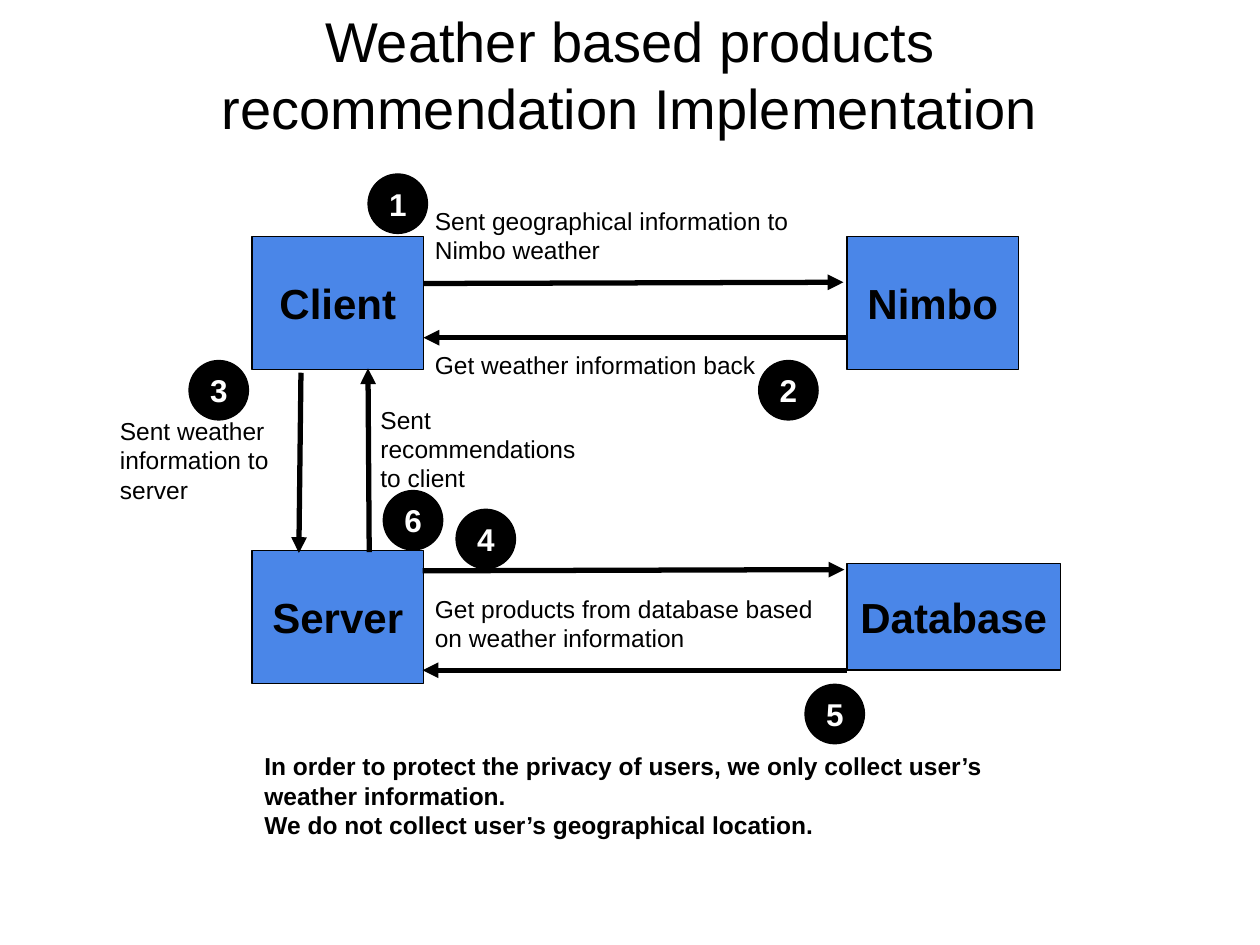
"""Builds a slide on how weather based product recommendations are implemented."""
from lxml import etree
from pptx import Presentation
from pptx.dml.color import RGBColor
from pptx.enum.shapes import MSO_CONNECTOR, MSO_SHAPE
from pptx.enum.text import MSO_ANCHOR, MSO_AUTO_SIZE, PP_ALIGN
from pptx.oxml.ns import qn
from pptx.util import Pt

RECTANGLE, OVAL = MSO_SHAPE.RECTANGLE, MSO_SHAPE.OVAL
STRAIGHT = MSO_CONNECTOR.STRAIGHT
TOP, MIDDLE = MSO_ANCHOR.TOP, MSO_ANCHOR.MIDDLE
LEFT, CENTER = PP_ALIGN.LEFT, PP_ALIGN.CENTER
NO_AUTOFIT = MSO_AUTO_SIZE.NONE
COLORS = {"ink": "000000", "box": "4A86E8", "number": "FFFFFF"}

deck = Presentation()
deck.slide_width, deck.slide_height = Pt(720), Pt(540)
page = deck.slides.add_slide(deck.slide_layouts[5])


def write(shape, text, size, bold=False, color="ink", align=LEFT, anchor=TOP, inset=7.2):
    frame = shape.text_frame
    frame.text = text
    frame.word_wrap = True
    frame.auto_size = NO_AUTOFIT
    frame.vertical_anchor = anchor
    frame.margin_left = frame.margin_right = Pt(7.2)
    frame.margin_top = frame.margin_bottom = Pt(inset)
    for para in frame.paragraphs:
        para.alignment = align
        for span in para.runs:
            span.font.name = "Arial"
            span.font.size = Pt(size)
            span.font.bold = bold
            span.font.color.rgb = RGBColor.from_string(COLORS[color])


def add_labelled_shape(kind, left, top, width, height, fill, text, size, color):
    shape = page.shapes.add_shape(kind, Pt(left), Pt(top), Pt(width), Pt(height))
    shape.shadow.inherit = False
    shape.fill.solid()
    shape.fill.fore_color.rgb = RGBColor.from_string(COLORS[fill])
    shape.line.color.rgb = RGBColor.from_string(COLORS["ink"])
    shape.line.width = Pt(0.75)
    write(shape, text, size, True, color, CENTER, MIDDLE)


title = page.shapes.title
title.left, title.top, title.width, title.height = Pt(108), Pt(0), Pt(504), Pt(97.2)
write(title, "Weather based products recommendation Implementation", 32, align=CENTER, inset=3.6)

systems = [
    ("Client", 144, 135.2, 98, 76),
    ("Nimbo", 484, 135.2, 98, 76),
    ("Server", 144, 314.6, 98, 76),
    ("Database", 484, 322, 122, 61),
]
for name, left, top, width, height in systems:
    add_labelled_shape(RECTANGLE, left, top, width, height, "box", name, 24, "ink")

arrows = [
    (242, 162, 482, 161.3),
    (483.5, 193, 242, 193),
    (172, 213, 170.8, 316),
    (211, 315.5, 210.3, 210.5),
    (241.5, 326.2, 482.5, 325.5),
    (484, 383, 241.5, 383),
]
for start_x, start_y, end_x, end_y in arrows:
    arrow = page.shapes.add_connector(STRAIGHT, Pt(start_x), Pt(start_y), Pt(end_x), Pt(end_y))
    arrow.line.color.rgb = RGBColor.from_string(COLORS["ink"])
    arrow.line.width = Pt(3)
    etree.SubElement(arrow.line._get_or_add_ln(), qn("a:tailEnd"), type="triangle")
    etree.SubElement(arrow._element.spPr, qn("a:effectLst"))

captions = [
    ("Sent geographical information to Nimbo weather", 241.4, 110.4, 243, False),
    ("Get weather information back", 241.4, 193, 243, False),
    ("Sent weather information to server", 61.4, 230.4, 109.4, False),
    ("Get products from database based on weather information", 241.4, 332, 243, False),
    ("Sent recommendations to client", 210.3, 224, 134, False),
    ("In order to protect the privacy of users, we only collect user’s weather information.\n"
     "We do not collect user’s geographical location.", 144, 422, 468, True),
]
for text, left, top, width, bold in captions:
    box = page.shapes.add_textbox(Pt(left), Pt(top), Pt(width), Pt(59))
    write(box, text, 14, bold)

steps = [(210.3, 99.4), (433.5, 206), (108, 206), (260.6, 291), (460, 391), (219, 280.3)]
for number, (left, top) in enumerate(steps, 1):
    add_labelled_shape(OVAL, left, top, 34, 34, "ink", str(number), 18, "number")

deck.save("out.pptx")
